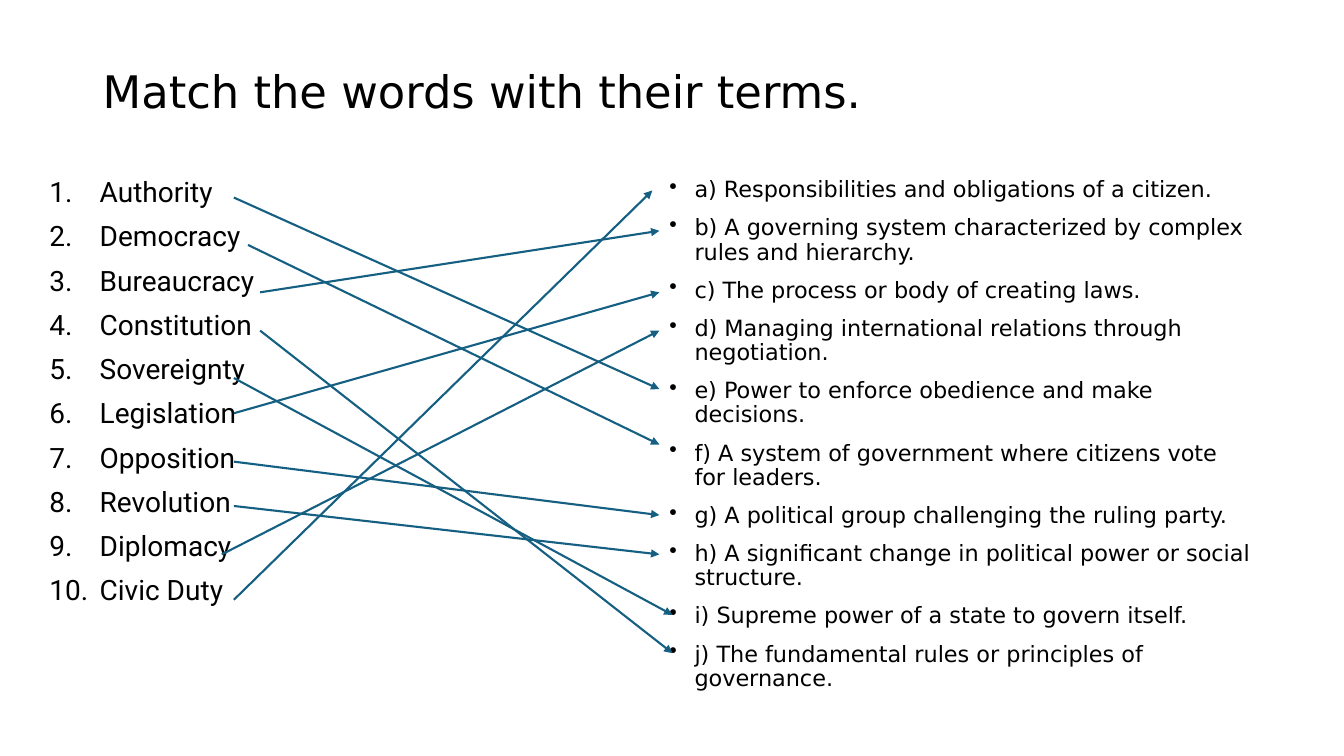
from lxml import etree
from pptx import Presentation
from pptx import util as u
from pptx.dml.color import RGBColor
from pptx.enum import shapes, text
from pptx.oxml import ns

WIDTH, HEIGHT = 13.33, 7.5
BLACK, BLUE = "000000", "156082"
TITLE = "Match the words with their terms."
WORDS = [
    ("Authority", "e", 2.32, 1.96),
    ("Democracy", "f", 2.46, 2.43),
    ("Bureaucracy", "b", 2.58, 2.9),
    ("Constitution", "j", 2.58, 3.28),
    ("Sovereignty", "i", 2.32, 3.75),
    ("Legislation", "c", 2.32, 4.1),
    ("Opposition", "g", 2.32, 4.58),
    ("Revolution", "h", 2.32, 5.02),
    ("Diplomacy", "d", 2.2, 5.5),
    ("Civic Duty", "a", 2.32, 5.95),
]
TERMS = [
    ("a) Responsibilities and obligations of a citizen.", 6.47, 1.89),
    ("b) A governing system characterized by complex rules and hierarchy.", 6.54, 2.29),
    ("c) The process or body of creating laws.", 6.54, 2.9),
    ("d) Managing international relations through negotiation.", 6.54, 3.28),
    ("e) Power to enforce obedience and make decisions.", 6.54, 3.86),
    ("f) A system of government where citizens vote for leaders.", 6.54, 4.41),
    ("g) A political group challenging the ruling party.", 6.54, 5.11),
    ("h) A significant change in political power or social structure.", 6.54, 5.5),
    ("i) Supreme power of a state to govern itself.", 6.67, 6.1),
    ("j) The fundamental rules or principles of governance.", 6.67, 6.48),
]
LIST_TOP, LIST_HEIGHT = 1.72, 5.38
WORDS_LEFT, TERMS_LEFT, TERMS_WIDTH = 0.39, 6.54, 5.97


def color(value):
    return RGBColor.from_string(value)


def add_text(slide, box, lines, font_name, size, bullet=None, indent=0, anchor="TOP"):
    frame = slide.shapes.add_textbox(*map(u.Inches, box)).text_frame
    frame.word_wrap = True
    frame.vertical_anchor = text.MSO_ANCHOR[anchor]
    for index, line in enumerate(lines):
        paragraph = frame.paragraphs[0] if index == 0 else frame.add_paragraph()
        paragraph.text = line
        if bullet:
            tag, attributes = bullet
            properties = paragraph._p.get_or_add_pPr()
            properties.set("marL", str(u.Inches(indent)))
            properties.set("indent", str(-u.Inches(indent)))
            etree.SubElement(properties, ns.qn(tag), attributes)
        paragraph.line_spacing = 0.9
        paragraph.space_before = u.Pt(10 if index else 0)
        paragraph.font.name = font_name
        paragraph.font.size = u.Pt(size)
        paragraph.font.color.rgb = color(BLACK)


def add_arrow(slide, start, end):
    arrow = slide.shapes.add_connector(
        shapes.MSO_CONNECTOR.STRAIGHT, *map(u.Inches, start + end))
    arrow.line.color.rgb = color(BLUE)
    arrow.line.width = u.Pt(1.5)
    etree.SubElement(arrow.line._get_or_add_ln(), ns.qn("a:tailEnd"), type="triangle")
    etree.SubElement(arrow._element.spPr, ns.qn("a:effectLst"))


def main():
    presentation = Presentation()
    presentation.slide_width = u.Inches(WIDTH)
    presentation.slide_height = u.Inches(HEIGHT)
    slide = presentation.slides.add_slide(presentation.slide_layouts[6])

    add_text(slide, (0.92, 0.4, 11.5, 0.82), [TITLE], "DejaVu Sans", 32, anchor="BOTTOM")
    add_text(slide, (WORDS_LEFT, LIST_TOP, TERMS_LEFT - WORDS_LEFT, LIST_HEIGHT),
             [word for word, *_ in WORDS], "Roboto", 20,
             ("a:buAutoNum", {"type": "arabicPeriod"}), 0.5)
    add_text(slide, (TERMS_LEFT, LIST_TOP, TERMS_WIDTH, LIST_HEIGHT),
             [term for term, *_ in TERMS], "DejaVu Sans", 16,
             ("a:buChar", {"char": "•"}), 0.25)

    targets = {term[0]: (x, y) for term, x, y in TERMS}
    for _, letter, x, y in WORDS:
        add_arrow(slide, (x, y), targets[letter])

    presentation.save("out.pptx")


if __name__ == "__main__":
    main()
